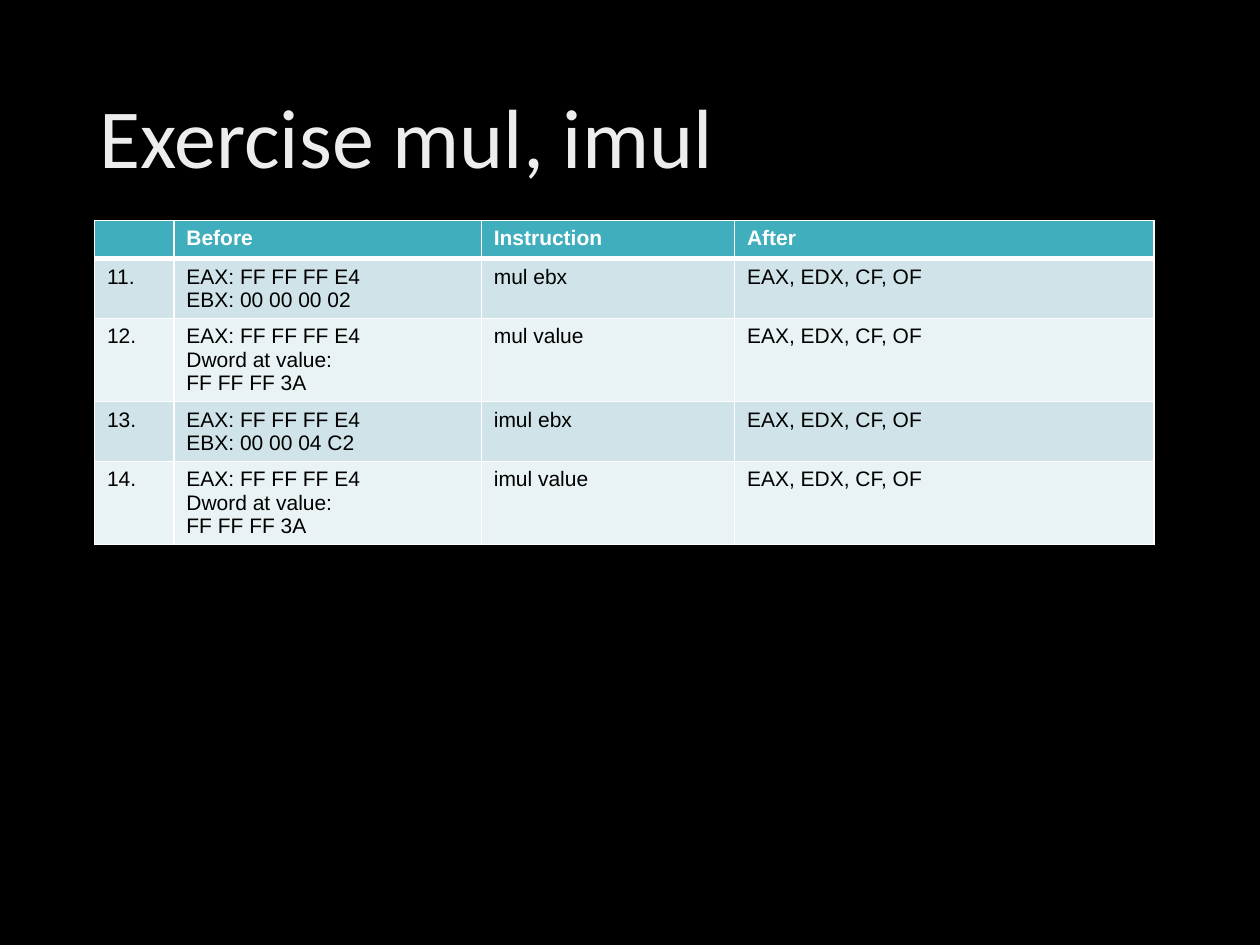
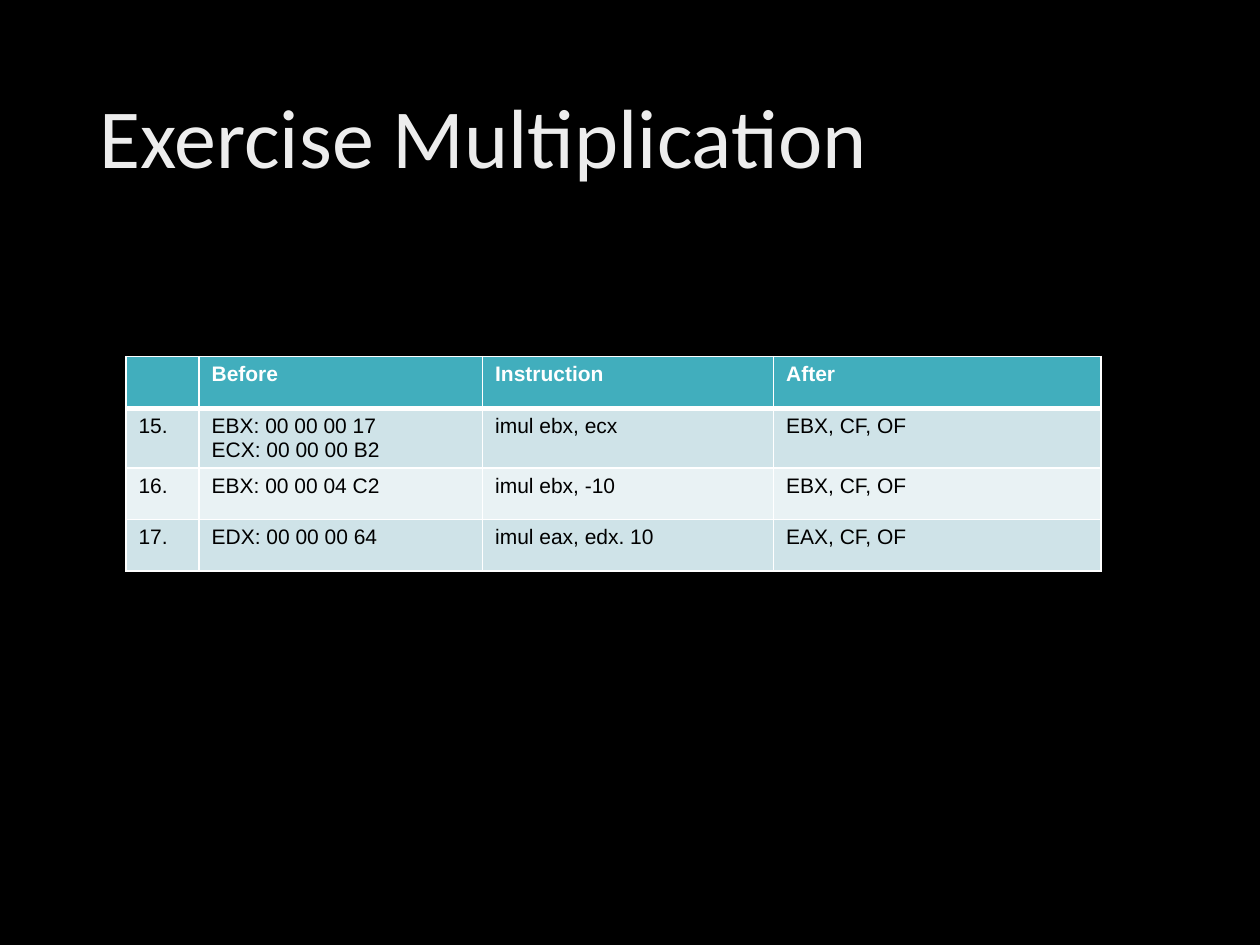
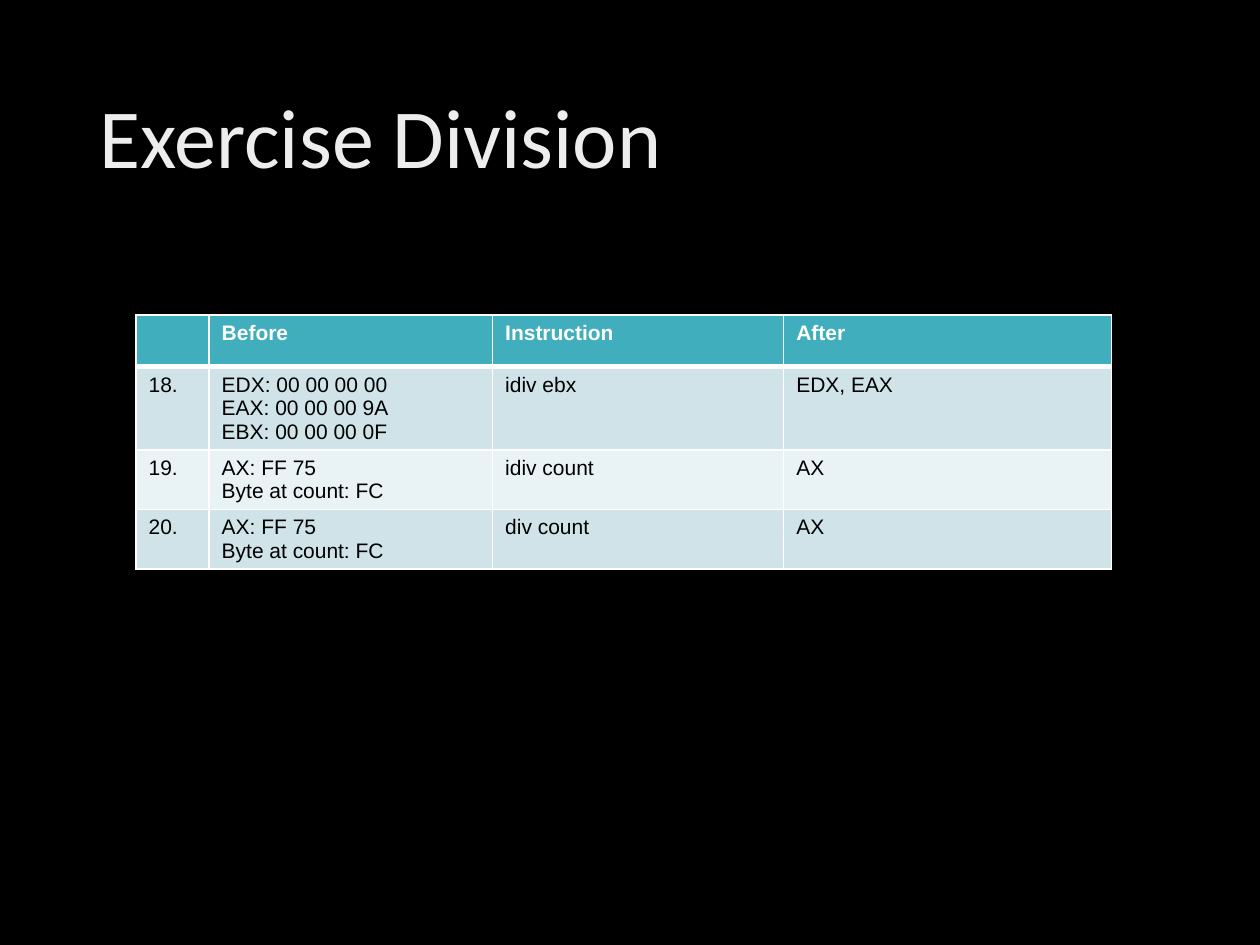
from pptx import Presentation
from pptx.dml.color import RGBColor as RGB
from pptx.enum.text import MSO_ANCHOR as Anchor, MSO_AUTO_SIZE as Auto, PP_ALIGN as Align
from pptx.oxml import parse_xml
from pptx.oxml.ns import nsdecls
from pptx.util import Inches, Pt

# Shared look
BLACK = RGB(0x00, 0x00, 0x00)
WHITE = RGB(0xFF, 0xFF, 0xFF)
TEAL = RGB(0x41, 0xAE, 0xBD)
BANDS = [RGB(0xCF, 0xE3, 0xE8), RGB(0xE9, 0xF2, 0xF4)]
SHINE = [(0, RGB(0xBF, 0xBF, 0xBF)), (28, RGB(0xED, 0xED, 0xED)), (100, WHITE)]
HEAD = ["", "Before", "Instruction", "After"]
SIZE = Pt(12)
NARROW = [0.58, 2.25, 2.31, 2.6]

# Title, table corner, column widths, header height, rows
SLIDES = [
    ("Exercise mul, imul", (0.75, 1.75), [0.63, 2.44, 2.01, 3.33], 0.13, [
        ["11.", "EAX: FF FF FF E4\nEBX: 00 00 00 02", "mul ebx", "EAX, EDX, CF, OF"],
        ["12.", "EAX: FF FF FF E4\nDword at value:\nFF FF FF 3A", "mul value", "EAX, EDX, CF, OF"],
        ["13.", "EAX: FF FF FF E4\nEBX: 00 00 04 C2", "imul ebx", "EAX, EDX, CF, OF"],
        ["14.", "EAX: FF FF FF E4\nDword at value:\nFF FF FF 3A", "imul value", "EAX, EDX, CF, OF"],
    ]),
    ("Exercise Multiplication", (1, 2.83), NARROW, 0.41, [
        ["15.", "EBX: 00 00 00 17\nECX: 00 00 00 B2", "imul ebx, ecx", "EBX, CF, OF"],
        ["16.", "EBX: 00 00 04 C2", "imul ebx, -10", "EBX, CF, OF"],
        ["17.", "EDX: 00 00 00 64", "imul eax, edx. 10", "EAX, CF, OF"],
    ]),
    ("Exercise Division", (1.08, 2.5), NARROW, 0.41, [
        ["18.", "EDX: 00 00 00 00\nEAX: 00 00 00 9A\nEBX: 00 00 00 0F", "idiv ebx", "EDX, EAX"],
        ["19.", "AX: FF 75\nByte at count: FC", "idiv count", "AX"],
        ["20.", "AX: FF 75\nByte at count: FC", "div count", "AX"],
    ]),
]


def add_title(slide, text):
    title = slide.shapes.title
    title.left, title.top = Inches(0.69), Inches(0.4)
    title.width, title.height = Inches(8.62), Inches(1.45)
    frame = title.text_frame
    frame.auto_size = Auto.NONE
    frame.word_wrap = True
    frame.vertical_anchor = Anchor.MIDDLE
    para = frame.paragraphs[0]
    para.alignment = Align.LEFT
    para.line_spacing = 0.9
    run = para.add_run()
    run.text = text
    run.font.size = Pt(48)
    run.font.name = "Calibri"
    # Three-stop gradient on the letters
    stops = "".join(f'<a:gs pos="{pos * 1000}"><a:srgbClr val="{tint}"/></a:gs>'
                    for pos, tint in SHINE)
    run.font._element.insert(0, parse_xml(
        f'<a:gradFill {nsdecls("a")}><a:gsLst>{stops}</a:gsLst>'
        f'<a:lin ang="{80 * 60000}" scaled="0"/></a:gradFill>'))


def fill_cell(cell, text, row):
    # Borders: thin all round, thick under the header
    props = cell._tc.get_or_add_tcPr()
    thick = {"B": row == 0, "T": row == 1}
    for side in "LRTB":
        width = Pt(3 if thick.get(side) else 1)
        props.append(parse_xml(
            f'<a:ln{side} {nsdecls("a")} w="{width}"><a:solidFill>'
            f'<a:srgbClr val="{WHITE}"/></a:solidFill></a:ln{side}>'))
    cell.fill.solid()
    cell.fill.fore_color.rgb = BANDS[(row - 1) % 2] if row else TEAL

    # Text, one paragraph a line
    frame = cell.text_frame
    for i, line in enumerate(text.split("\n")):
        para = frame.add_paragraph() if i else frame.paragraphs[0]
        if not line:
            para._p.append(parse_xml(
                f'<a:endParaRPr {nsdecls("a")} sz="{int(SIZE.pt * 100)}"/>'))
            continue
        run = para.add_run()
        run.text = line
        font = run.font
        font.size, font.name, font.bold = SIZE, "Arial", row == 0
        font.color.rgb = BLACK if row else WHITE


prs = Presentation()
prs.slide_width, prs.slide_height = Inches(10), Inches(7.5)
back = prs.slide_master.background.fill
back.solid()
back.fore_color.rgb = BLACK

for name, (left, top), widths, first, rows in SLIDES:
    slide = prs.slides.add_slide(prs.slide_layouts[5])
    add_title(slide, name)

    # Exercise table
    grid = [HEAD] + rows
    heights = [first] + [0.41] * len(rows)
    table = slide.shapes.add_table(
        len(grid), len(HEAD), Inches(left), Inches(top),
        Inches(sum(widths)), Inches(sum(heights))).table
    for col, width in zip(table.columns, widths):
        col.width = Inches(width)
    for r, (height, texts) in enumerate(zip(heights, grid)):
        table.rows[r].height = Inches(height)
        for c, text in enumerate(texts):
            fill_cell(table.cell(r, c), text, r)

prs.save("out.pptx")
